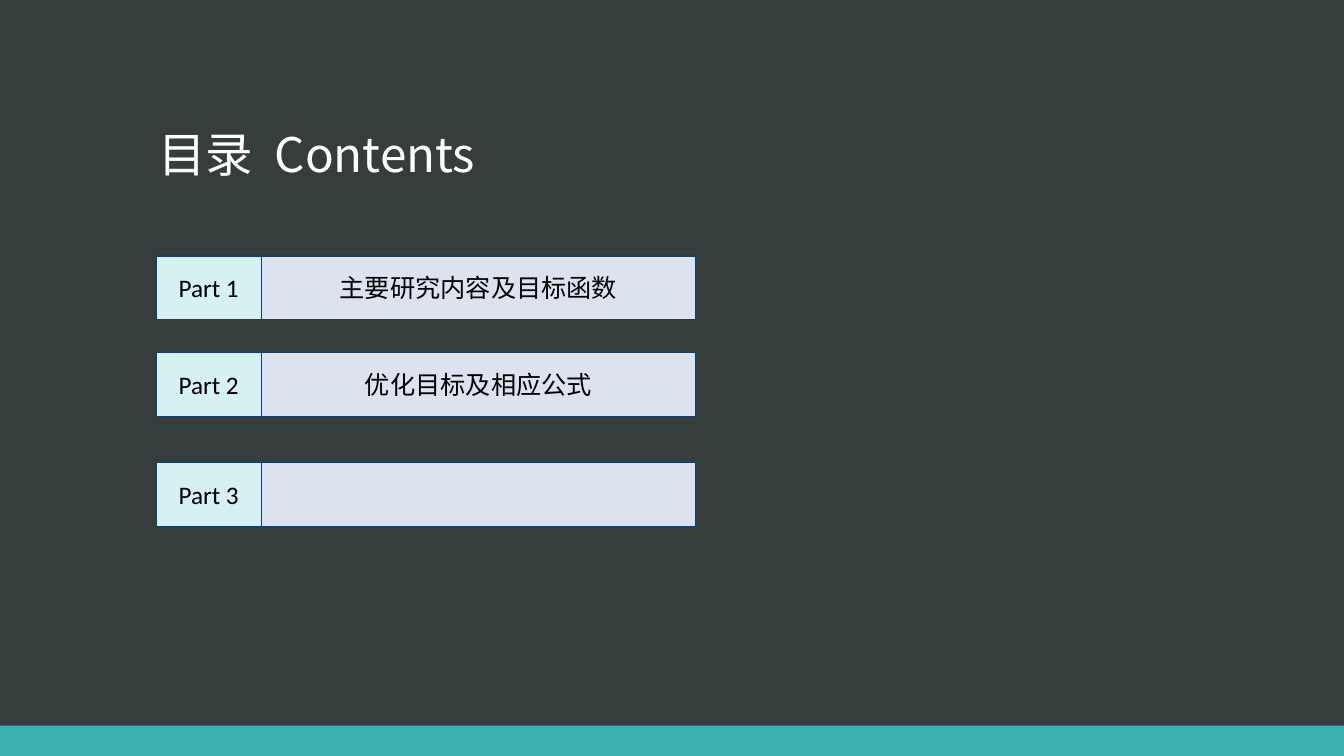
from dataclasses import dataclass

from pptx import Presentation
from pptx import util as u
from pptx.dml.color import RGBColor
from pptx.enum import shapes, text
from pptx.oxml.ns import qn
from pptx.shapes.autoshape import Shape
from pptx.slide import Slide
from pptx.text.text import _Paragraph as Paragraph
from lxml import etree


@dataclass(frozen=True)
class Theme:
    background: str = "363D3D"
    footer: str = "3AAFB2"
    label_fill: str = "D6F1F2"
    topic_fill: str = "DCE3EF"
    outline: str = "113E6A"
    title: str = "FFFFFF"
    ink: str = "000000"
    title_size: int = 34
    box_size: int = 18
    title_font: str = "Noto Sans CJK SC"
    label_font: str = "Calibri"
    topic_font: str = "Arial"
    east_asian_font: str = "Noto Sans CJK SC"


@dataclass(frozen=True)
class Entry:
    label: str
    topic: str
    top: float


THEME = Theme()
ENTRIES = [
    Entry("Part 1", "主要研究内容及目标函数", 2.54),
    Entry("Part 2", "优化目标及相应公式", 3.5),
    Entry("Part 3", "", 4.59),
]
LABEL_LEFT, LABEL_WIDTH = 1.55, 1.04
TOPIC_WIDTH, ENTRY_HEIGHT = 4.31, 0.63


def style_runs(para: Paragraph, font: str, size: int, color: str) -> None:
    for span in para.runs:
        span.font.name = font
        span.font.size = u.Pt(size)
        span.font.color.rgb = RGBColor.from_string(color)
        east_asian = etree.SubElement(span.font._element, qn("a:ea"))
        east_asian.set("typeface", THEME.east_asian_font)


def add_box(slide: Slide, left: float, top: float, width: float,
            height: float, fill: str) -> Shape:
    box = slide.shapes.add_shape(
        shapes.MSO_SHAPE.RECTANGLE, u.Inches(left), u.Inches(top),
        u.Inches(width), u.Inches(height))
    box.shadow.inherit = False
    box.fill.solid()
    box.fill.fore_color.rgb = RGBColor.from_string(fill)
    box.line.fill.background()
    return box


def add_entry_box(slide: Slide, left: float, top: float, width: float,
                  fill: str, words: str, font: str) -> None:
    box = add_box(slide, left, top, width, ENTRY_HEIGHT, fill)
    box.line.color.rgb = RGBColor.from_string(THEME.outline)
    box.line.width = u.Pt(0.75)
    if words:
        frame = box.text_frame
        frame.text = words
        frame.vertical_anchor = text.MSO_ANCHOR.MIDDLE
        para = frame.paragraphs[0]
        para.alignment = text.PP_ALIGN.CENTER
        style_runs(para, font, THEME.box_size, THEME.ink)


def add_title(slide: Slide, words: str) -> None:
    title = slide.shapes.title
    title.left, title.top = u.Inches(1.47), u.Inches(0.51)
    title.width, title.height = u.Inches(10.4), u.Inches(1.35)
    frame = title.text_frame
    frame.text = words
    frame.vertical_anchor = text.MSO_ANCHOR.BOTTOM
    para = frame.paragraphs[0]
    para.alignment = text.PP_ALIGN.LEFT
    para.line_spacing = 0.9
    style_runs(para, THEME.title_font, THEME.title_size, THEME.title)


# Slide with a dark background
deck = Presentation()
deck.slide_width, deck.slide_height = u.Inches(13.33), u.Inches(7.5)
page = deck.slides.add_slide(deck.slide_layouts.get_by_name("Title Only"))
page.background.fill.solid()
page.background.fill.fore_color.rgb = RGBColor.from_string(THEME.background)

# Footer band and title
add_box(page, 0, 7.2, 13.33, 0.3, THEME.footer)
add_title(page, "目录  Contents")

# Contents entries: numbered label beside its topic
for entry in ENTRIES:
    add_entry_box(page, LABEL_LEFT, entry.top, LABEL_WIDTH,
                  THEME.label_fill, entry.label, THEME.label_font)
    add_entry_box(page, LABEL_LEFT + LABEL_WIDTH, entry.top, TOPIC_WIDTH,
                  THEME.topic_fill, entry.topic, THEME.topic_font)

deck.save("out.pptx")
